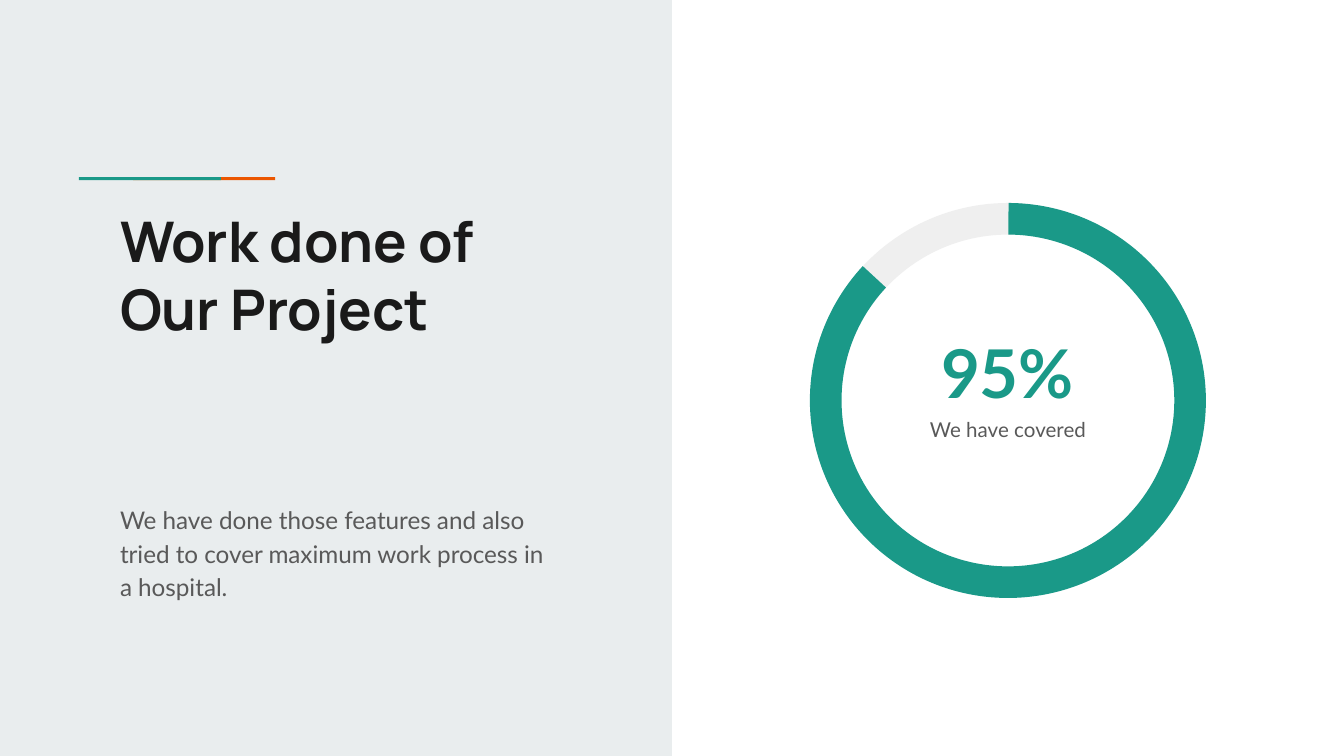
from dataclasses import dataclass

from pptx import Presentation
from pptx.dml.color import RGBColor
from pptx.enum.shapes import MSO_SHAPE
from pptx.enum.text import MSO_ANCHOR, MSO_AUTO_SIZE, PP_ALIGN
from pptx.util import Pt

EMU = 914400 / 134.4
RECT, ARC = MSO_SHAPE.RECTANGLE, MSO_SHAPE.BLOCK_ARC
LEFT, CENTER = PP_ALIGN.LEFT, PP_ALIGN.CENTER
TOP, NO_FIT = MSO_ANCHOR.TOP, MSO_AUTO_SIZE.NONE

TEAL = RGBColor(0x1A, 0x99, 0x88)
ORANGE = RGBColor(0xEB, 0x56, 0x00)
PANEL = RGBColor(0xE9, 0xED, 0xEE)
TRACK = RGBColor(0xEF, 0xEF, 0xEF)
INK = RGBColor(0x1A, 0x1A, 0x1A)
GREY = RGBColor(0x59, 0x59, 0x59)

Box = tuple[int, int, int, int]
RING: Box = (810, 203, 396, 395)
THICK = 0.08
RULE_WIDTH = 62


@dataclass
class Block:
    box: Box
    fill: RGBColor


@dataclass
class Arc:
    start: float
    end: float
    turn: float
    fill: RGBColor


@dataclass
class Label:
    box: Box
    lines: list[str]
    size: int
    color: RGBColor
    face: str = "Lato"
    bold: bool = False
    align: PP_ALIGN = LEFT
    space: float = 1.15
    after: int = 0


def px(n: int) -> int:
    return round(n * EMU)


def add_shape(shapes, kind: MSO_SHAPE, box: Box, fill: RGBColor):
    shape = shapes.add_shape(kind, *map(px, box))
    shape.shadow.inherit = False
    shape.fill.solid()
    shape.fill.fore_color.rgb = fill
    shape.line.fill.background()
    return shape


def add_rule(slide, bars: list[Block]) -> None:
    group = slide.shapes.add_group_shape()
    for bar in bars:
        add_shape(group.shapes, RECT, bar.box, bar.fill).rotation = 270
    # Widening the group stretches the turned bars lengthwise
    group.width = px(RULE_WIDTH)


def add_arc(slide, arc: Arc) -> None:
    shape = add_shape(slide.shapes, ARC, RING, arc.fill)
    # Angles are stored in 60000ths of a degree, adjustments in 100000ths
    for i, value in enumerate((arc.start * 0.6, arc.end * 0.6, THICK)):
        shape.adjustments[i] = value
    shape.rotation = arc.turn


def set_text(shape, label: Label) -> None:
    shape.left, shape.top, shape.width, shape.height = map(px, label.box)
    frame = shape.text_frame
    form = {"word_wrap": True, "auto_size": NO_FIT, "vertical_anchor": TOP}
    form |= {f"margin_{side}": px(13) for side in ("left", "top", "right", "bottom")}
    for name, value in form.items():
        setattr(frame, name, value)
    frame.text = "\n".join(label.lines)
    para_form = {"alignment": label.align, "line_spacing": label.space,
                 "space_before": Pt(0), "space_after": Pt(label.after)}
    font_form = {"name": label.face, "size": Pt(label.size), "bold": label.bold}
    for para in frame.paragraphs:
        for name, value in para_form.items():
            setattr(para, name, value)
        for run in para.runs:
            for name, value in font_form.items():
                setattr(run.font, name, value)
            run.font.color.rgb = label.color


# Left panel and the two-tone rule above the title
SIDE = Block((0, 0, 672, 756), PANEL)
BARS = [
    Block((167, 151, 3, 55), ORANGE),
    Block((146, 151, 3, 55), TEAL),
]

# Progress ring: the open part, then the covered part
ARCS = [
    Arc(43.8, 98.01, 176.5, TRACK),
    Arc(270.18, 222.79, 0, TEAL),
]

TITLE = Label((107, 194, 485, 249), ["Work done of", "Our Project"],
              30, INK, "Manrope", True, space=1)
LABELS = [
    Label((107, 488, 451, 112),
          ["We have done those features and also tried to cover "
           "maximum work process in a hospital."], 13, GREY, after=10),
    Label((887, 306, 241, 94), ["95%"], 36, TEAL, bold=True, align=CENTER),
    Label((864, 400, 288, 112), ["We have covered"], 11, GREY,
          align=CENTER, after=16),
]


def main() -> None:
    deck = Presentation()
    deck.slide_width, deck.slide_height = px(1344), px(756)
    slide = deck.slides.add_slide(deck.slide_layouts[5])

    add_shape(slide.shapes, RECT, SIDE.box, SIDE.fill)
    add_rule(slide, BARS)
    for arc in ARCS:
        add_arc(slide, arc)

    # Title, brought in front of the panel, and texts
    title = slide.shapes.title
    set_text(title, TITLE)
    title.element.getparent().append(title.element)
    for label in LABELS:
        set_text(slide.shapes.add_textbox(*map(px, label.box)), label)

    deck.save("out.pptx")


if __name__ == "__main__":
    main()
